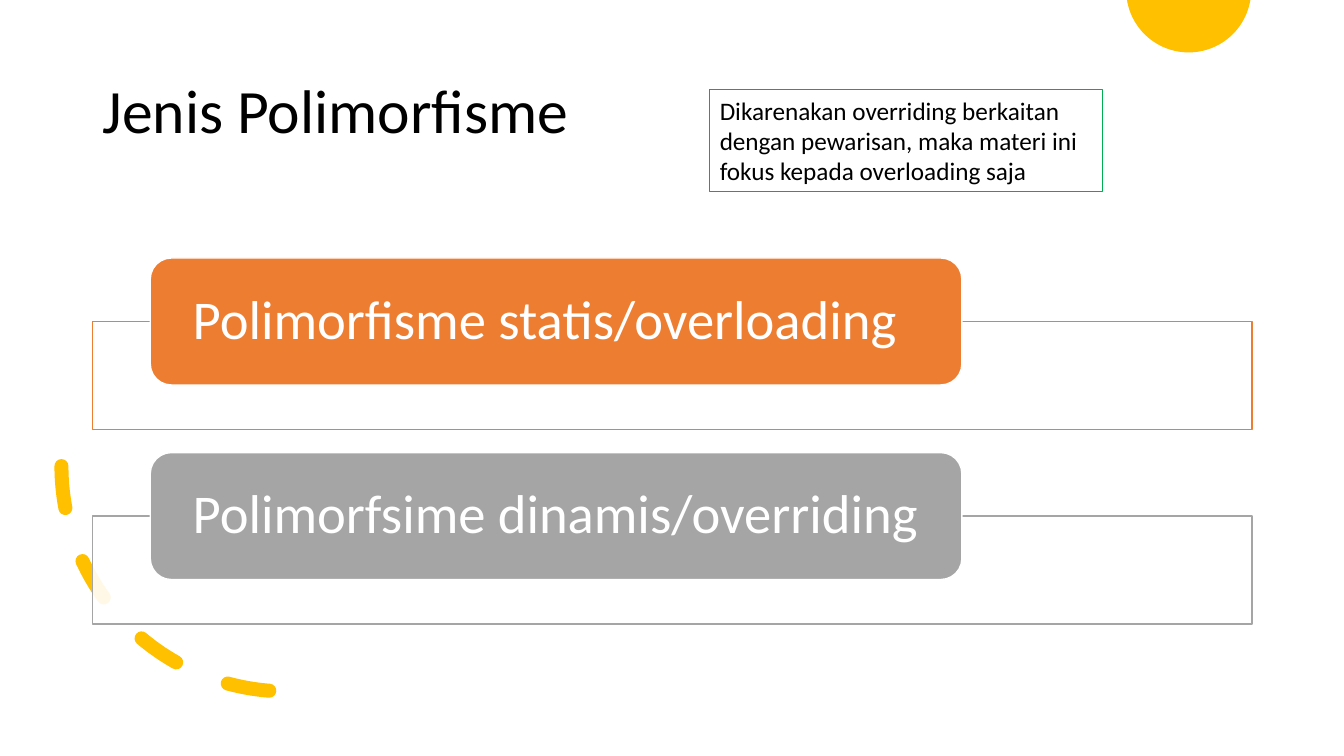
import math
from dataclasses import dataclass

from lxml import etree
from pptx import Presentation
from pptx import util as u
from pptx.dml.color import RGBColor
from pptx.enum import dml, shapes, text
from pptx.oxml.ns import qn

PX = 9144  # 100 px to the inch
FONT = "Calibri"
WHITE, BLACK, GOLD, GREEN = "FFFFFF", "000000", "FFC000", "00B050"


@dataclass
class Box:
    left: int
    top: int
    width: int
    height: int

    def emu(self) -> tuple:
        return tuple(u.Emu(v * PX) for v in (self.left, self.top, self.width, self.height))


@dataclass
class Kind:
    label: str
    color: str


KINDS = [
    Kind("Polimorfisme statis/overloading", "ED7D31"),
    Kind("Polimorfsime dinamis/overriding", "A5A5A5"),
]
FIRST_TOP, PITCH = 256, 193


def rgb(color: str) -> RGBColor:
    return RGBColor.from_string(color)


def add_shape(slide, kind, box: Box, fill: str = "", line: str = "", weight: float = 1):
    shape = slide.shapes.add_shape(kind, *box.emu())
    shape.shadow.inherit = False
    if fill:
        shape.fill.solid()
        shape.fill.fore_color.rgb = rgb(fill)
    else:
        shape.fill.background()
    shape.line.color.rgb = rgb(line)
    shape.line.width = u.Pt(weight)
    return shape


def write(shape, wording: str, size: int, color: str, spacing: float = 1.0) -> None:
    frame = shape.text_frame
    frame.word_wrap = True
    frame.vertical_anchor = text.MSO_ANCHOR.MIDDLE
    paragraph = frame.paragraphs[0]
    paragraph.text = wording
    paragraph.alignment = text.PP_ALIGN.LEFT
    paragraph.line_spacing = spacing
    paragraph.font.name = FONT
    paragraph.font.size = u.Pt(size)
    paragraph.font.color.rgb = rgb(color)


def add_sun(slide, center_x: int, center_y: int, radius: int) -> None:
    """Draw the part of a disc that lies below the top edge of the slide."""
    start = math.asin(-center_y / radius)
    steps = 60
    angles = [start + (math.pi - 2 * start) * i / steps for i in range(steps + 1)]
    points = [
        (round((center_x + radius * math.cos(a)) * PX),
         max(0, round((center_y + radius * math.sin(a)) * PX)))
        for a in angles
    ]
    builder = slide.shapes.build_freeform(*points[0])
    builder.add_line_segments(points[1:], close=True)
    sun = builder.convert_to_shape()
    sun.shadow.inherit = False
    sun.fill.solid()
    sun.fill.fore_color.rgb = rgb(GOLD)
    sun.line.fill.background()


def add_dashed_arc(slide, box: Box) -> None:
    arc = add_shape(slide, shapes.MSO_SHAPE.ARC, box, line=GOLD, weight=10)
    arc.rotation = 90
    arc.line.dash_style = dml.MSO_LINE.DASH
    properties = arc.element.spPr
    properties.find(qn("a:xfrm")).set("flipV", "1")
    properties.find(qn("a:ln")).set("cap", "rnd")


def add_kind(slide, kind: Kind, top: int) -> None:
    frame = add_shape(slide, shapes.MSO_SHAPE.RECTANGLE,
                      Box(92, top + 63, 1150, 107), WHITE, kind.color)
    fill_color = frame.element.spPr.find(qn("a:solidFill")).find(qn("a:srgbClr"))
    etree.SubElement(fill_color, qn("a:alpha")).set("val", "90000")

    label = add_shape(slide, shapes.MSO_SHAPE.ROUNDED_RECTANGLE,
                      Box(149, top, 805, 126), kind.color, WHITE)
    label.text_frame.margin_left = label.text_frame.margin_right = u.Emu(36 * PX)
    write(label, kind.label, 39, WHITE, 0.9)


def main() -> None:
    presentation = Presentation()
    presentation.slide_width = u.Emu(1333 * PX)
    presentation.slide_height = u.Emu(750 * PX)
    slide = presentation.slides.add_slide(presentation.slide_layouts[6])

    # Corner disc and title
    add_sun(slide, 1179, -10, 62)
    title = slide.shapes.add_textbox(*Box(92, 40, 1150, 145).emu())
    write(title, "Jenis Polimorfisme", 44, BLACK, 0.9)

    # Dashed arc behind the list
    add_dashed_arc(slide, Box(61, 239, 447, 447))

    # Kinds of polymorphism
    for index, kind in enumerate(KINDS):
        add_kind(slide, kind, FIRST_TOP + index * PITCH)

    # Note
    note = add_shape(slide, shapes.MSO_SHAPE.RECTANGLE,
                     Box(704, 89, 389, 101), line=GREEN, weight=0.75)
    write(note, "Dikarenakan overriding berkaitan dengan pewarisan, "
                "maka materi ini fokus kepada overloading saja", 18, BLACK)

    presentation.save("out.pptx")


if __name__ == "__main__":
    main()
